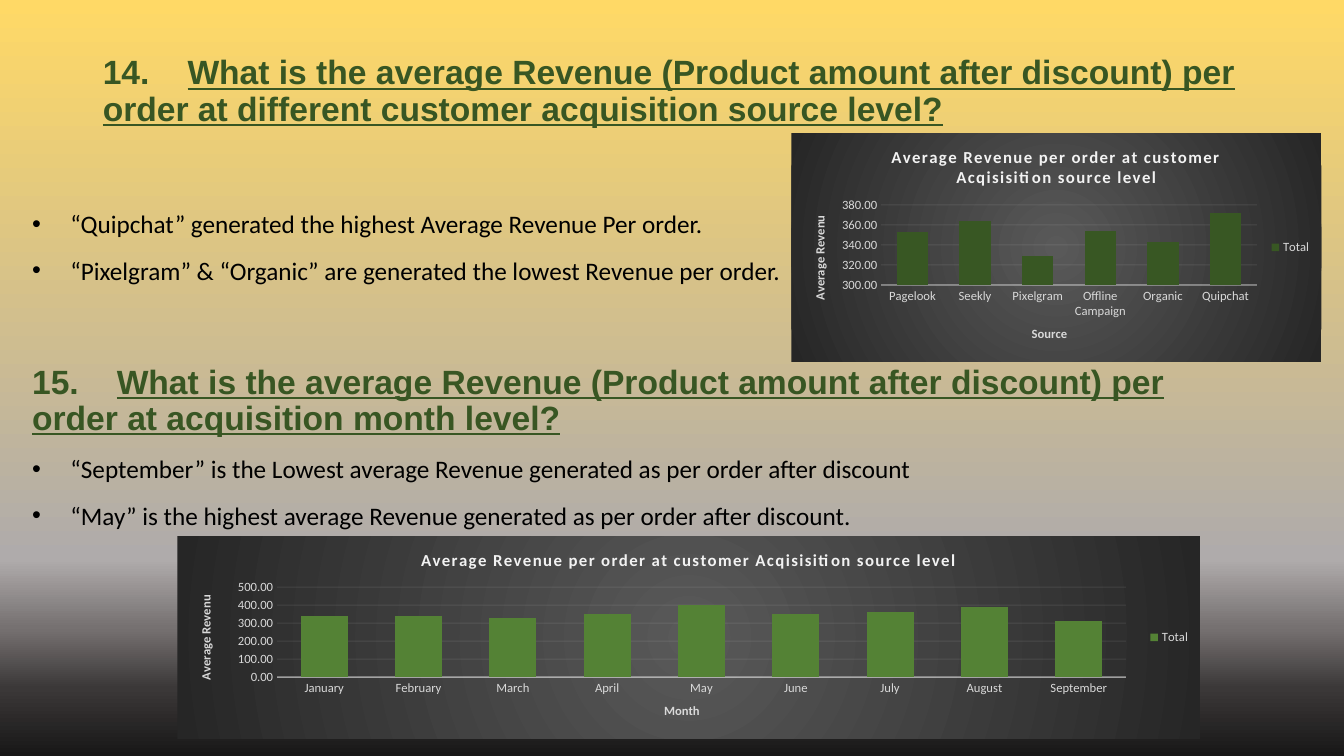
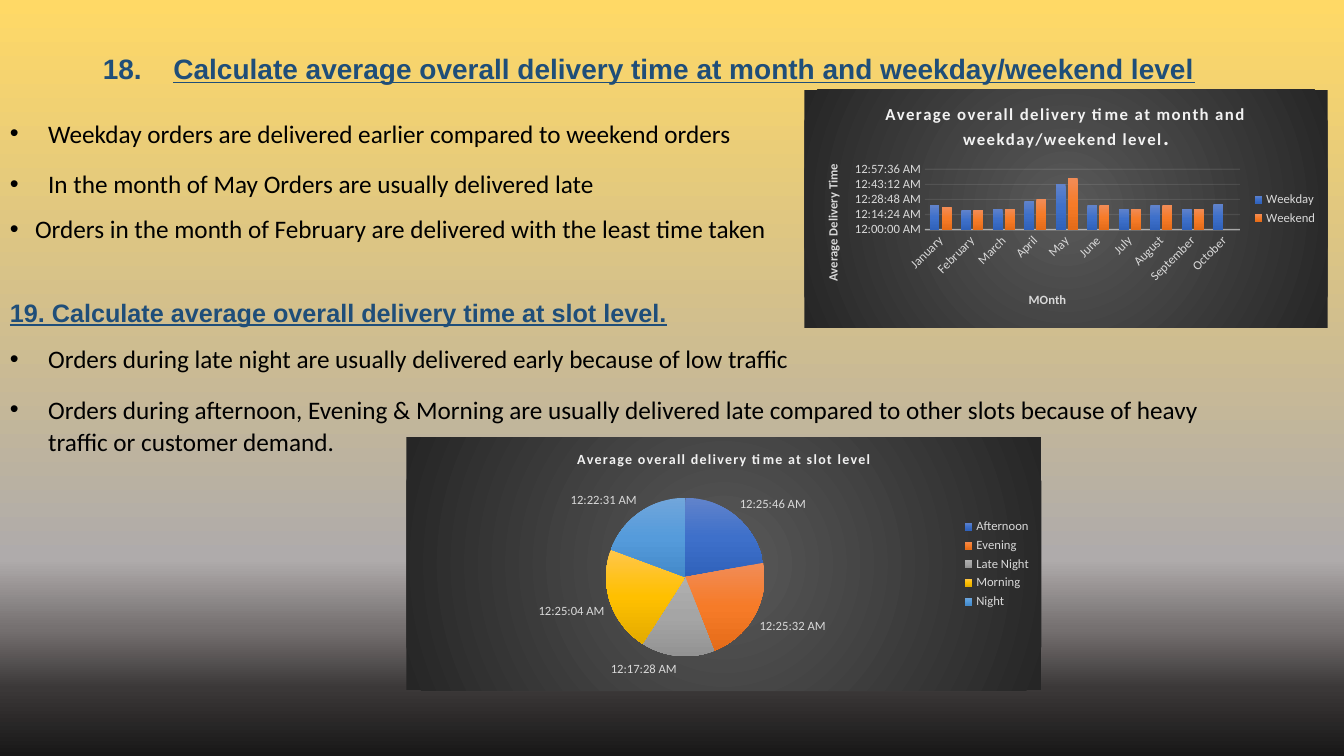
import lxml.etree
import pptx
import pptx.chart.data
import pptx.dml.color
import pptx.dml.fill
import pptx.enum.chart
import pptx.enum.text
import pptx.oxml
import pptx.oxml.ns
import pptx.util

RGB = pptx.dml.color.RGBColor
Pt, Inches = pptx.util.Pt, pptx.util.Inches
qn = pptx.oxml.ns.qn
CHART = pptx.enum.chart

WIDTH, HEIGHT = Inches(13.333), Inches(7.5)
BLACK = RGB(0x00, 0x00, 0x00)
LIGHT = RGB(0xF2, 0xF2, 0xF2)
LABEL = RGB(0xD9, 0xD9, 0xD9)
HEADING_GREEN = RGB(0x38, 0x56, 0x23)
HEADING_BLUE = RGB(0x1F, 0x4E, 0x79)
DARK_GREEN = RGB(0x38, 0x57, 0x23)
GREEN = RGB(0x54, 0x82, 0x35)
SUNSET = [(0, RGB(0xFF, 0xD9, 0x66)), (74, RGB(0xAF, 0xAB, 0xAB)),
          (83, RGB(0x76, 0x71, 0x71)), (91, RGB(0x3B, 0x38, 0x38)),
          (100, RGB(0x18, 0x17, 0x17))]
SPOTLIGHT = [(0, RGB(0x59, 0x59, 0x59)), (100, RGB(0x26, 0x26, 0x26))]


def sheen(top, middle, bottom):
    return [(0, top), (50, middle), (100, bottom)]


BLUE = sheen(RGB(0x61, 0x83, 0xCB), RGB(0x3E, 0x70, 0xCA), RGB(0x30, 0x62, 0xBB))
ORANGE = sheen(RGB(0xF1, 0x8C, 0x57), RGB(0xF6, 0x7B, 0x28), RGB(0xE5, 0x6C, 0x19))
GREY = sheen(RGB(0xAF, 0xAF, 0xAF), RGB(0xA5, 0xA5, 0xA5), RGB(0x93, 0x93, 0x93))
GOLD = sheen(RGB(0xFF, 0xC6, 0x4B), RGB(0xFF, 0xC0, 0x00), RGB(0xE3, 0xAB, 0x00))
SKY = sheen(RGB(0x71, 0xA6, 0xDB), RGB(0x55, 0x9B, 0xDB), RGB(0x44, 0x8A, 0xCA))

TIME = "[$-F400]h:mm:ss\\ AM/PM"
MONTHS = ["January", "February", "March", "April", "May", "June", "July",
          "August", "September", "October"]


def area(left, top, width, height):
    """Turn percentages of the slide into a box."""
    return (int(WIDTH * left / 100), int(HEIGHT * top / 100),
            int(WIDTH * width / 100), int(HEIGHT * height / 100))


def paint(fill, colour, radial=False):
    """Fill with one colour, or with a list of (position, colour) stops."""
    if isinstance(colour, RGB):
        fill.solid()
        fill.fore_color.rgb = colour
        return
    fill.gradient()
    fill.gradient_angle = 270
    stops = fill.gradient_stops[0]._gs.getparent()
    for gs in list(stops):
        stops.remove(gs)
    for position, rgb in colour:
        gs = lxml.etree.SubElement(stops, qn("a:gs"), pos=str(position * 1000))
        lxml.etree.SubElement(gs, qn("a:srgbClr"), val=str(rgb))
    if radial:
        parent = stops.getparent()
        parent.remove(stops.getnext())
        circle = lxml.etree.SubElement(parent, qn("a:path"))
        circle.set("path", "circle")
        lxml.etree.SubElement(circle, qn("a:fillToRect"),
                              l="50000", t="50000", r="50000", b="50000")


def style(font, size, colour, name="Calibri", bold=False, underline=False):
    font.size, font.name, font.bold = Pt(size), name, bold
    font.underline = underline
    font.color.rgb = colour


def add_text(p, text, size, colour, spacing=0, **kwargs):
    r = p.add_run()
    r.text = text
    style(r.font, size, colour, **kwargs)
    if spacing:
        r._r.get_or_add_rPr().set("spc", str(spacing))


def space(p, line, before=10, after=0):
    p.alignment = pptx.enum.text.PP_ALIGN.LEFT
    p.line_spacing = line
    p.space_before, p.space_after = Pt(before), Pt(after)


def add_heading(p, number, text, size, colour, before=0, tab=True):
    """Bold underlined question; its number is set apart by a tab stop."""
    space(p, 0.9, before)
    look = dict(size=size, colour=colour, name="Arial", bold=True)
    if tab:
        tabs = lxml.etree.SubElement(p._p.get_or_add_pPr(), qn("a:tabLst"))
        lxml.etree.SubElement(tabs, qn("a:tab"), algn="l",
                              pos=str(Inches(0.035 * size)))
        add_text(p, number + "\t", **look)
    else:
        text = f"{number} {text}"
    add_text(p, text, underline=True, **look)


def add_bullet(p, text, indent=0.38, line=1.07, after=0):
    space(p, line, after=after)
    pPr = p._p.get_or_add_pPr()
    pPr.set("marL", str(Inches(indent)))
    pPr.set("indent", str(-Inches(indent)))
    lxml.etree.SubElement(pPr, qn("a:buFont"), typeface="Arial")
    lxml.etree.SubElement(pPr, qn("a:buChar"), char="•")
    add_text(p, text, 18, BLACK)


def add_question_slide(prs, box, number, text, size, colour):
    s = prs.slides.add_slide(prs.slide_layouts[5])
    title = s.shapes.title
    title.left, title.top, title.width, title.height = box
    tf = title.text_frame
    tf.word_wrap = True
    tf.auto_size = pptx.enum.text.MSO_AUTO_SIZE.NONE
    tf.vertical_anchor = pptx.enum.text.MSO_ANCHOR.MIDDLE
    add_heading(tf.paragraphs[0], number, text, size, colour)
    return s


def add_body(s, box, items):
    """Each item is an adding function with its keyword arguments."""
    tf = s.shapes.add_textbox(*box).text_frame
    tf.word_wrap = True
    for i, (add, kwargs) in enumerate(items):
        add(tf.add_paragraph() if i else tf.paragraphs[0], **kwargs)


def bullet(text, **kwargs):
    return add_bullet, dict(text=text, **kwargs)


def heading(number, text, **kwargs):
    return add_heading, dict(number=number, text=text, **kwargs)


def draw_line(line, width, opacity):
    line.width = Pt(width)
    line.color.rgb = LIGHT
    clr = line._get_or_add_ln().find(".//" + qn("a:srgbClr"))
    lxml.etree.SubElement(clr, qn("a:alpha"), val=str(opacity * 1000))


def add_chart(s, box, kind, categories, series, title, number_format, size=12):
    """Dark chart panel; title is a list of (text, size) parts or a string."""
    data = pptx.chart.data.CategoryChartData(number_format=number_format)
    data.categories = categories
    for name, values in series:
        data.add_series(name, values)
    chart = s.shapes.add_chart(kind, *box, data).chart
    style(chart.font, 10, BLACK)
    panel = pptx.oxml.parse_xml(f"<c:spPr {pptx.oxml.ns.nsdecls('c', 'a')}>"
                                "<a:ln><a:noFill/></a:ln></c:spPr>")
    chart._chartSpace.find(qn("c:chart")).addnext(panel)
    paint(pptx.dml.fill.FillFormat.from_fill_parent(panel), SPOTLIGHT, radial=True)
    chart.has_title = True
    p = chart.chart_title.text_frame.paragraphs[0]
    for text, points in [(title, size)] if isinstance(title, str) else title:
        add_text(p, text, points, LIGHT, spacing=100, bold=True)
    chart.chart_title.include_in_layout = False
    chart.has_legend = True
    chart.legend.position = CHART.XL_LEGEND_POSITION.RIGHT
    chart.legend.include_in_layout = False
    style(chart.legend.font, 9, LABEL)
    return chart


def add_columns(s, box, categories, series, title, axis_titles, scale,
                number_format="0.00", slanted=False):
    """Series are (name, colour, values); scale is (low, high, step)."""
    chart = add_chart(s, box, CHART.XL_CHART_TYPE.COLUMN_CLUSTERED, categories,
                      [(name, values) for name, _, values in series],
                      title, number_format)
    plot = chart.plots[0]
    plot.gap_width, plot.overlap, plot.vary_by_categories = 100, -24, False
    for ser, (_, colour, _) in zip(plot.series, series):
        paint(ser.format.fill, colour)
    across, up = chart.category_axis, chart.value_axis
    for axis, text in zip((across, up), axis_titles):
        axis.major_tick_mark = CHART.XL_TICK_MARK.NONE
        style(axis.tick_labels.font, 9, LABEL)
        tf = axis.axis_title.text_frame
        add_text(tf.paragraphs[0], text, 9, LABEL, bold=True)
    tf._txBody.bodyPr.set("rot", "-5400000")
    draw_line(across.format.line, 1, 54)
    if slanted:
        labels = across._element.find(qn("c:txPr"))
        labels.find(qn("a:bodyPr")).set("rot", "-2700000")
    up.minimum_scale, up.maximum_scale, up.major_unit = scale
    up.tick_labels.number_format = number_format
    up.tick_labels.number_format_is_linked = False
    up.format.line.fill.background()
    draw_line(up.major_gridlines.format.line, 0.75, 10)


def add_pie(s, box, slices, title):
    """Slices are (name, colour, value)."""
    names, colours, values = zip(*slices)
    chart = add_chart(s, box, CHART.XL_CHART_TYPE.PIE, names,
                      [("Series 1", values)], title, TIME, size=10)
    plot = chart.plots[0]
    for i, colour in enumerate(colours):
        paint(plot.series[0].points[i].format.fill, colour)
    plot.has_data_labels = True
    labels = plot.data_labels
    labels.show_value = True
    labels.number_format, labels.number_format_is_linked = TIME, False
    labels.position = CHART.XL_LABEL_POSITION.OUTSIDE_END
    style(labels.font, 9, LABEL)


def revenue_slide(prs):
    question = "What is the average Revenue (Product amount after discount) per order at "
    look = dict(size=24, colour=HEADING_GREEN)
    s = add_question_slide(prs, area(6.9, 5.33, 86.25, 13.73), "14.",
                           question + "different customer acquisition source level?",
                           **look)
    add_body(s, area(1.65, 26.67, 91.5, 63.47), [
        bullet("“Quipchat” generated the highest Average Revenue Per order."),
        bullet("“Pixelgram” & “Organic” are generated the lowest Revenue per order.",
               after=8),
        heading("15.", question + "acquisition month level?", before=49, **look),
        bullet("“September” is the Lowest average Revenue generated as per order "
               "after discount"),
        bullet("“May” is the highest average Revenue generated as per order "
               "after discount."),
    ])
    title = "Average Revenue per order at customer Acqisisition source level"
    add_columns(s, area(58.88, 17.6, 39.45, 30.27),
                ["Pagelook", "Seekly", "Pixelgram", "Offline Campaign", "Organic",
                 "Quipchat"],
                [("Total", DARK_GREEN, [353, 364, 329, 354, 343, 372])],
                title, ("Source", "Average Revenu"), (300, 380, 20))
    add_columns(s, area(13.2, 70.93, 76.12, 26.8), MONTHS[:9],
                [("Total", GREEN, [340, 340, 330, 350, 400, 350, 360, 390, 310])],
                title, ("Month", "Average Revenu"), (0, 500, 100))


def delivery_slide(prs):
    s = add_question_slide(prs, area(6.9, 5.33, 86.25, 8), "18.",
                           "Calculate average overall delivery time at month and "
                           "weekday/weekend level", 20, HEADING_BLUE)
    add_body(s, area(0, 14.67, 93.15, 75.47), [
        bullet("Weekday orders are delivered earlier compared to weekend orders",
               after=3),
        bullet("In the month of May Orders are usually delivered late", after=3),
        bullet("Orders in the month of February are delivered with the least time taken",
               indent=0.25, line=0.9),
        heading("19.", "Calculate average overall delivery time at slot level.",
                size=18, colour=HEADING_BLUE, before=40, tab=False),
        bullet("Orders during late night are usually delivered early because of low "
               "traffic", after=3),
        bullet("Orders during afternoon, Evening & Morning are usually delivered late "
               "compared to other slots because of heavy traffic or customer demand.",
               after=3),
    ])
    add_columns(s, area(59.85, 11.87, 38.93, 31.47), MONTHS,
                [("Weekday", BLUE, [0.016, 0.013, 0.014, 0.019, 0.03, 0.016, 0.014,
                                    0.016, 0.014, 0.017]),
                 ("Weekend", ORANGE, [0.015, 0.013, 0.014, 0.02, 0.034, 0.016, 0.014,
                                      0.016, 0.014, None])],
                [("Average overall delivery time at month and weekday/weekend level", 12),
                 (".", 16)],
                ("MOnth", "Average Delivery Time"), (0, 0.04, 0.01), TIME, slanted=True)
    add_pie(s, area(30.23, 57.87, 47.25, 33.47),
            [("Afternoon", BLUE, 0.017896), ("Evening", ORANGE, 0.017734),
             ("Late Night", GREY, 0.012135), ("Morning", GOLD, 0.01741),
             ("Night", SKY, 0.015641)],
            "Average overall delivery time at slot level")


def main():
    prs = pptx.Presentation()
    prs.slide_width, prs.slide_height = WIDTH, HEIGHT
    paint(prs.slide_master.background.fill, SUNSET)
    revenue_slide(prs)
    delivery_slide(prs)
    prs.save("out.pptx")


if __name__ == "__main__":
    main()
